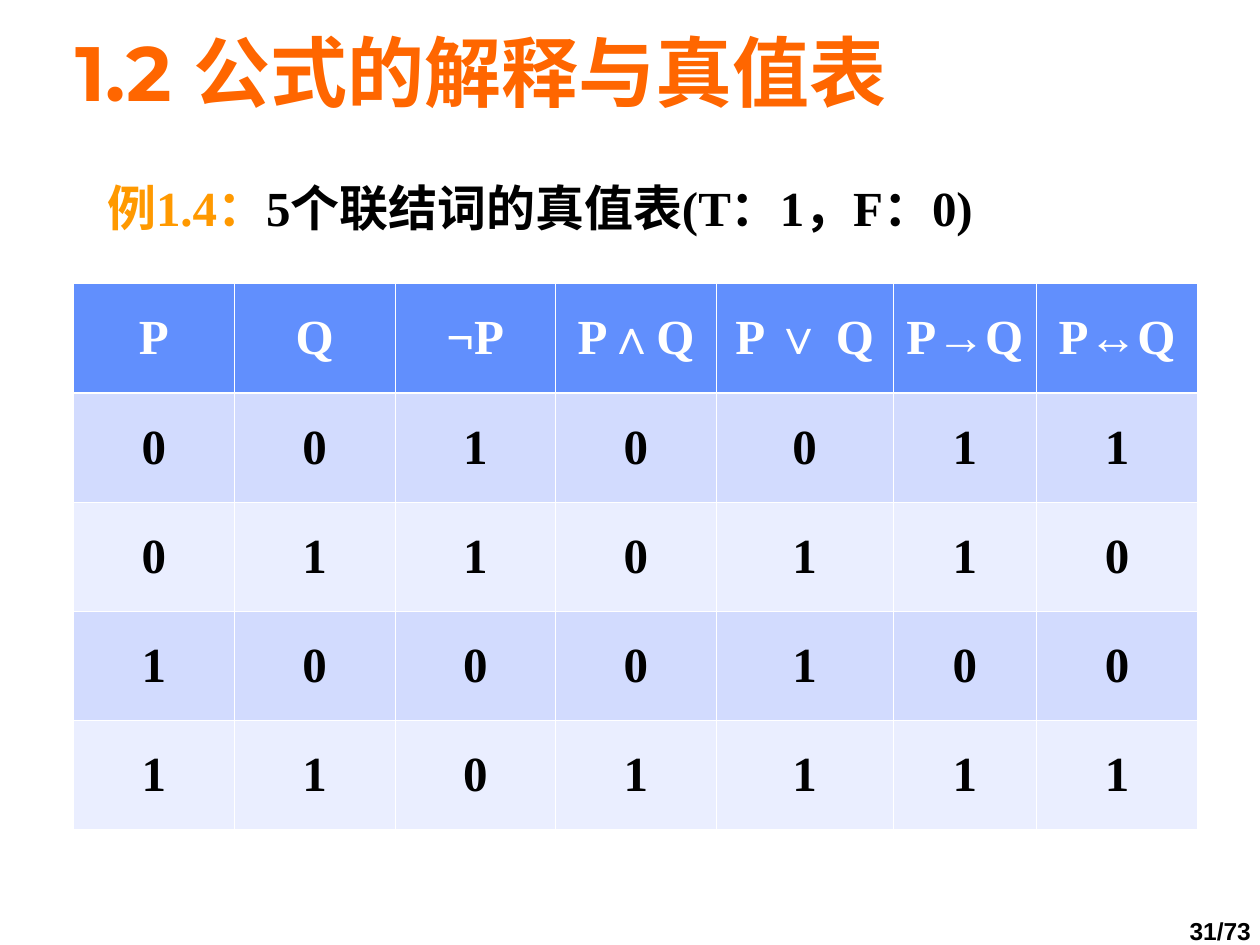
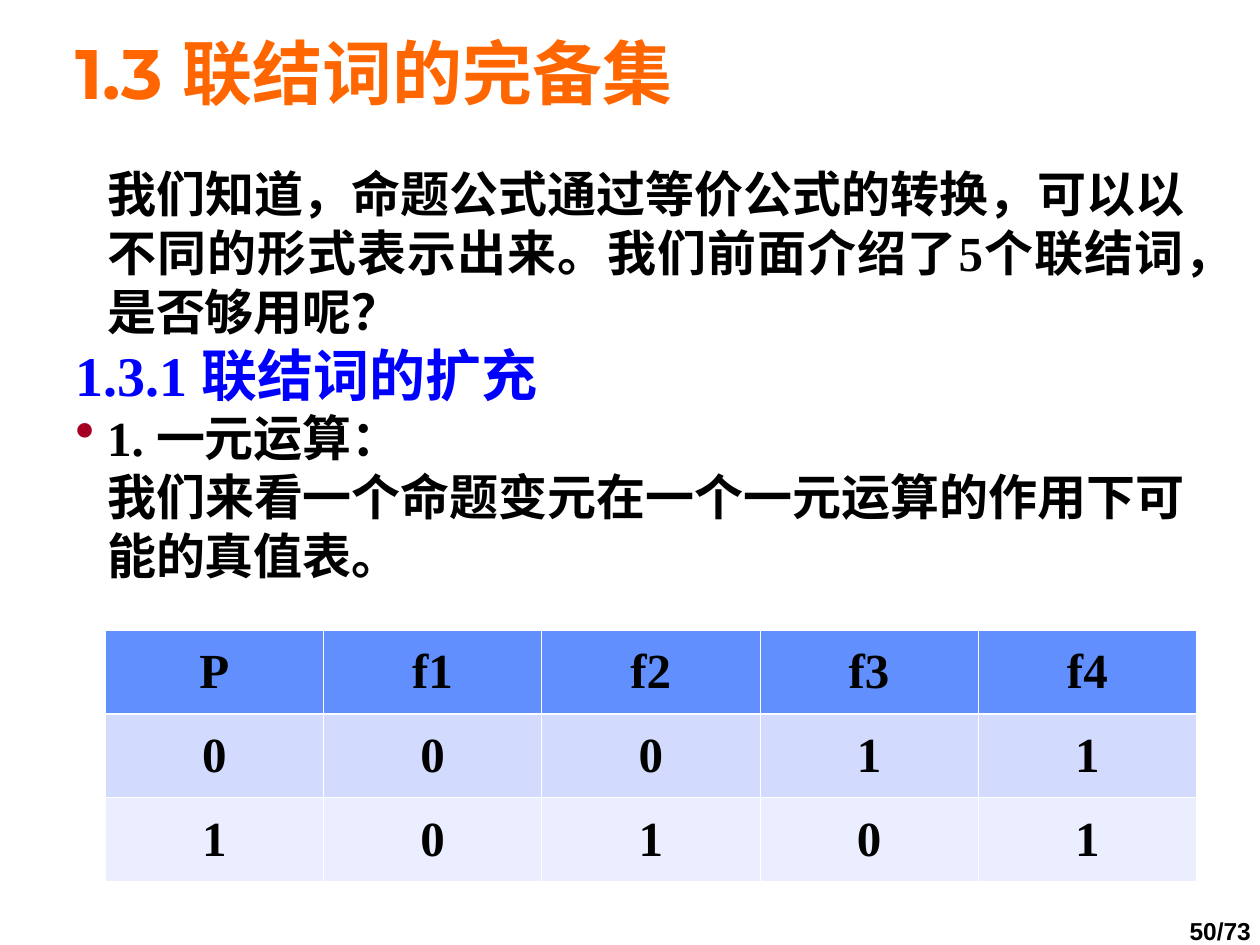
import pptx
import pptx.dml.color
import pptx.enum.lang
import pptx.enum.text
import pptx.oxml.ns
import pptx.util
from lxml import etree

Cm = pptx.util.Cm
Pt = pptx.util.Pt
RGBColor = pptx.dml.color.RGBColor
ALIGN = pptx.enum.text.PP_ALIGN
MIDDLE = pptx.enum.text.MSO_ANCHOR.MIDDLE

TITLE_ORANGE = RGBColor(0xFF, 0x66, 0x00)
EXAMPLE_ORANGE = RGBColor(0xFF, 0x99, 0x00)
HEADING_BLUE = RGBColor(0x00, 0x00, 0xFF)
BULLET_RED = RGBColor(0xA5, 0x00, 0x21)
BLACK = RGBColor(0x00, 0x00, 0x00)
WHITE = RGBColor(0xFF, 0xFF, 0xFF)
HEADER_FILL = RGBColor(0x61, 0x8F, 0xFD)
BAND_FILLS = (RGBColor(0xD2, 0xDB, 0xFE), RGBColor(0xEA, 0xEE, 0xFF))

TITLE_FONT = "Montserrat"
BODY_FONT = "Times New Roman"
FOOTER_FONT = "Arial"
BODY_SIZE = 28
PAGE_COUNT = 73
HANGING = Cm(0.64)
THIN, THICK = Pt(0.45), Pt(1.47)


def add_child(parent, tag, **attributes):
    """Append a drawing element and return it."""
    return etree.SubElement(parent, pptx.oxml.ns.qn(tag), attributes)


def add_run(paragraph, text, color=BLACK, size=BODY_SIZE, font=BODY_FONT):
    """Add one bold run to a paragraph."""
    run = paragraph.add_run()
    run.text = text
    run.font.name = font
    run.font.size = Pt(size)
    run.font.bold = True
    run.font.color.rgb = color
    run.font.language_id = pptx.enum.lang.MSO_LANGUAGE_ID.SIMPLIFIED_CHINESE


def add_text_frame(slide, left, top, width, height, wrap=True):
    """Add a text box and return its text frame."""
    frame = slide.shapes.add_textbox(Cm(left), Cm(top), Cm(width), Cm(height)).text_frame
    frame.word_wrap = wrap
    return frame


def set_spacing(paragraph, lines, before):
    """Set line spacing and the space before a paragraph."""
    paragraph.line_spacing = lines
    paragraph.space_before = Pt(before)


def set_indent(paragraph, first_line=0):
    """Indent a paragraph by the shared margin."""
    properties = paragraph._p.get_or_add_pPr()
    properties.set("marL", str(HANGING))
    properties.set("indent", str(first_line))


def add_bullet(paragraph):
    """Give a paragraph a red round bullet."""
    properties = paragraph._p.get_or_add_pPr()
    color = add_child(properties, "a:buClr")
    add_child(color, "a:srgbClr", val=str(BULLET_RED))
    add_child(properties, "a:buSzPct", val="114000")
    add_child(properties, "a:buChar", char="•")


def add_base_slide(presentation, title, title_size, page):
    """Add a blank slide with its title and page number."""
    slide = presentation.slides.add_slide(presentation.slide_layouts[6])

    footer = add_text_frame(slide, 22.81, 18.42, 3.58, 0.76, wrap=False)
    footer.vertical_anchor = MIDDLE
    paragraph = footer.paragraphs[0]
    paragraph.alignment = ALIGN.CENTER
    set_spacing(paragraph, 0.85, 8.8)
    add_run(paragraph, f"{page}/{PAGE_COUNT}", size=14, font=FOOTER_FONT)

    heading = add_text_frame(slide, 1.27, 0.64, 22.86, 1.78)
    heading.vertical_anchor = MIDDLE
    paragraph = heading.paragraphs[0]
    set_spacing(paragraph, 0.93, title_size * 0.31)
    add_run(paragraph, title, TITLE_ORANGE, title_size, TITLE_FONT)
    return slide


def set_borders(cell, top, bottom):
    """Draw white borders around a table cell."""
    properties = cell._tc.get_or_add_tcPr()
    widths = {"a:lnL": THIN, "a:lnR": THIN, "a:lnT": top, "a:lnB": bottom}
    for tag, width in widths.items():
        line = add_child(properties, tag, w=str(width))
        add_child(add_child(line, "a:solidFill"), "a:srgbClr", val=str(WHITE))


def add_truth_table(slide, left, top, column_widths, row_height, rows, header_color):
    """Add a banded truth table whose first row is the header."""
    table = slide.shapes.add_table(
        len(rows), len(column_widths), Cm(left), Cm(top),
        Cm(sum(column_widths)), Cm(row_height * len(rows))).table
    for column, width in zip(table.columns, column_widths):
        column.width = Cm(width)
    for row_index, values in enumerate(rows):
        is_header = row_index == 0
        table.rows[row_index].height = Cm(row_height)
        for column_index, value in enumerate(values):
            cell = table.cell(row_index, column_index)
            set_borders(cell, THICK if row_index == 1 else THIN, THICK if is_header else THIN)
            cell.fill.solid()
            cell.fill.fore_color.rgb = HEADER_FILL if is_header else BAND_FILLS[(row_index - 1) % 2]
            cell.vertical_anchor = MIDDLE
            paragraph = cell.text_frame.paragraphs[0]
            paragraph.alignment = ALIGN.CENTER
            add_run(paragraph, value, header_color if is_header else BLACK)


def build_connectives_slide(presentation):
    """Build the slide with the truth table of the five connectives."""
    slide = add_base_slide(presentation, "1.2 公式的解释与真值表", 44, 31)
    paragraph = add_text_frame(slide, 1.27, 3.61, 22.86, 1.9).paragraphs[0]
    set_indent(paragraph)
    set_spacing(paragraph, 0.87, 11.9)
    add_run(paragraph, "例1.4：", EXAMPLE_ORANGE)
    add_run(paragraph, "5个联结词的真值表(T：1，F：0)")

    header = ["P", "Q", "¬P", "P∧Q", "P ∨ Q", "P→Q", "P↔Q"]
    rows = [header, "0010011", "0110110", "1000100", "1101111"]
    widths = [3.24] * 4 + [3.56, 2.9, 3.24]
    add_truth_table(slide, 1.48, 5.72, widths, 2.2, rows, WHITE)


def build_extension_slide(presentation):
    """Build the slide on unary operations."""
    slide = add_base_slide(presentation, "1.3 联结词的完备集", 40, 50)
    frame = add_text_frame(slide, 1.27, 3.18, 22.86, 8.89)
    question = frame.paragraphs[0]
    heading, unary, explanation = (frame.add_paragraph() for _ in range(3))
    for paragraph in frame.paragraphs:
        paragraph.alignment = ALIGN.JUSTIFY
    for paragraph in (question, explanation):
        set_indent(paragraph)
    for paragraph in (heading, unary):
        set_indent(paragraph, -HANGING)
    add_bullet(unary)
    add_run(question, "我们知道，命题公式通过等价公式的转换，可以以不同的形式表示出来。"
                      "我们前面介绍了5个联结词，是否够用呢？")
    add_run(heading, "1.3.1 联结词的扩充", HEADING_BLUE, 32)
    add_run(unary, "1. 一元运算：")
    add_run(explanation, "我们来看一个命题变元在一个一元运算的作用下可能的真值表。")

    rows = [["P", "f1", "f2", "f3", "f4"], "00011", "10101"]
    add_truth_table(slide, 2.12, 12.7, [4.4] * 5, 1.69, rows, BLACK)


def main():
    """Build and save the presentation."""
    presentation = pptx.Presentation()
    presentation.slide_width = Cm(25.4)
    presentation.slide_height = Cm(19.05)
    build_connectives_slide(presentation)
    build_extension_slide(presentation)
    presentation.save("out.pptx")


if __name__ == "__main__":
    main()
